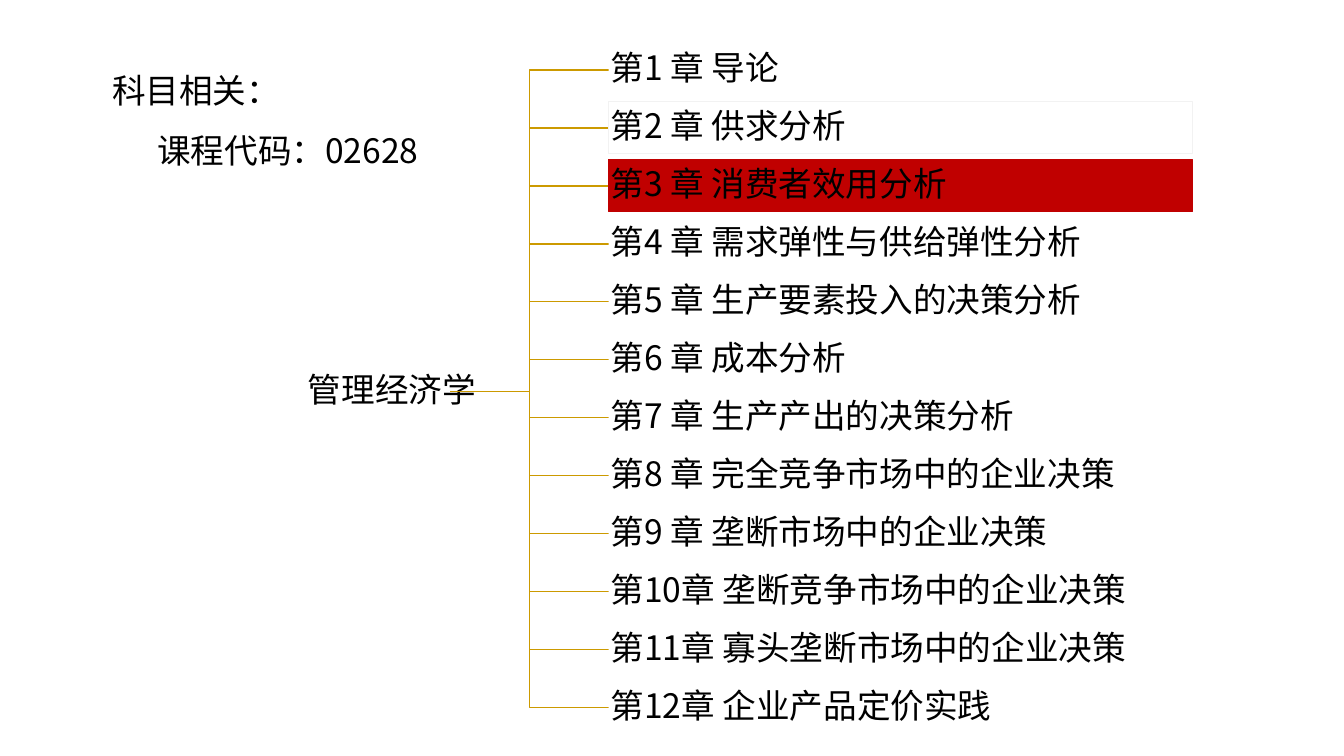
"""Build the course outline slide: course code and a chapter tree."""
from pptx import Presentation
from pptx.dml.color import RGBColor
from pptx.enum.shapes import MSO_CONNECTOR, MSO_SHAPE
from pptx.enum.text import MSO_ANCHOR, MSO_AUTO_SIZE, PP_ALIGN
from pptx.oxml.ns import qn
from pptx.util import Cm, Pt

FONT = "Noto Sans CJK SC"
CHAPTERS = [
    "第1 章 导论",
    "第2 章 供求分析",
    "第3 章 消费者效用分析",
    "第4 章 需求弹性与供给弹性分析",
    "第5 章 生产要素投入的决策分析",
    "第6 章 成本分析",
    "第7 章 生产产出的决策分析",
    "第8 章 完全竞争市场中的企业决策",
    "第9 章 垄断市场中的企业决策",
    "第10章 垄断竞争市场中的企业决策",
    "第11章 寡头垄断市场中的企业决策",
    "第12章 企业产品定价实践",
]
FILLS = {2: "C00000"}
BORDERS = {1: "F2F2F2", 2: "C00000"}
ROW_X, ROW_Y, ROW_W, ROW_H, PITCH = 15.34, 1.11, 14.71, 1.31, 1.46
ROOT_X, ROOT_Y = 11.35, 9.86


def color(value):
    return RGBColor.from_string(value)


def style(tf, align, spacing, inset=None):
    tf.word_wrap = True
    tf.auto_size = MSO_AUTO_SIZE.NONE
    if inset is not None:
        tf.margin_left = tf.margin_right = inset
        tf.margin_top = tf.margin_bottom = inset
    for p in tf.paragraphs:
        p.alignment = align
        p.line_spacing = spacing
        p.space_before = Pt(0)
        for r in p.runs:
            r.font.size = Pt(24)
            r.font.color.rgb = color("000000")
            r.font.name = FONT
            ea = r.font._element.makeelement(qn("a:ea"), {"typeface": FONT})
            r.font._element.append(ea)


prs = Presentation()
prs.slide_width, prs.slide_height = Cm(33.87), Cm(19.05)
s = prs.slides.add_slide(prs.slide_layouts[1])

title = s.shapes.title
title.left, title.top, title.width, title.height = Cm(6.93), Cm(8.39), Cm(5.89), Cm(2.94)
title.text_frame.text = "管理经济学"
title.text_frame.vertical_anchor = MSO_ANCHOR.MIDDLE
style(title.text_frame, PP_ALIGN.CENTER, 0.9, Cm(0.05))

body = s.placeholders[1]
body.left, body.top, body.width, body.height = Cm(2.57), Cm(1.12), Cm(20.8), Cm(3.33)
body.text_frame.text = "科目相关：\n课程代码：02628"
for p, indent in zip(body.text_frame.paragraphs, (0, 1.14)):
    pPr = p._p.get_or_add_pPr()
    pPr.set("marL", str(Cm(indent)))
    pPr.set("indent", "0")
    pPr.append(pPr.makeelement(qn("a:buNone"), {}))
style(body.text_frame, PP_ALIGN.LEFT, 1.5)

for i, chapter in enumerate(CHAPTERS):
    top = ROW_Y + i * PITCH
    branch = s.shapes.add_connector(
        MSO_CONNECTOR.ELBOW, Cm(ROOT_X), Cm(ROOT_Y), Cm(ROW_X), Cm(top + ROW_H / 2))
    branch.line.color.rgb = color("CC9A00")
    branch.line.width = Pt(1)
    spPr = branch._element.spPr
    spPr.append(spPr.makeelement(qn("a:effectLst"), {}))

    row = s.shapes.add_shape(MSO_SHAPE.RECTANGLE, Cm(ROW_X), Cm(top), Cm(ROW_W), Cm(ROW_H))
    row.shadow.inherit = False
    row.fill.solid()
    row.fill.fore_color.rgb = color(FILLS.get(i, "FFFFFF"))
    if i in BORDERS:
        row.line.color.rgb = color(BORDERS[i])
        row.line.width = Pt(0.75)
    else:
        row.line.fill.background()
    row.text_frame.text = chapter
    row.text_frame.vertical_anchor = MSO_ANCHOR.MIDDLE
    style(row.text_frame, PP_ALIGN.LEFT, 0.9, Cm(0.05))

prs.save("out.pptx")
